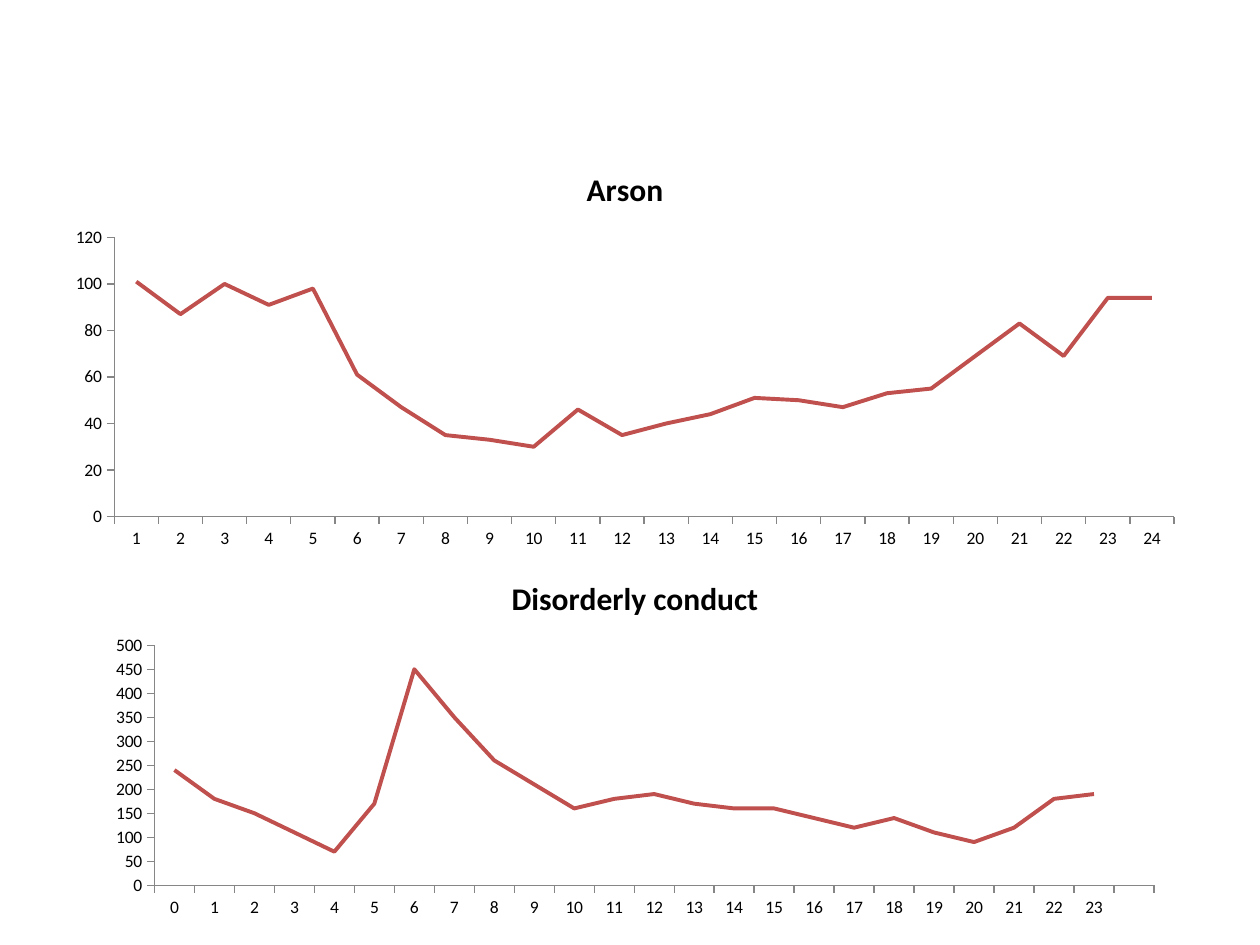
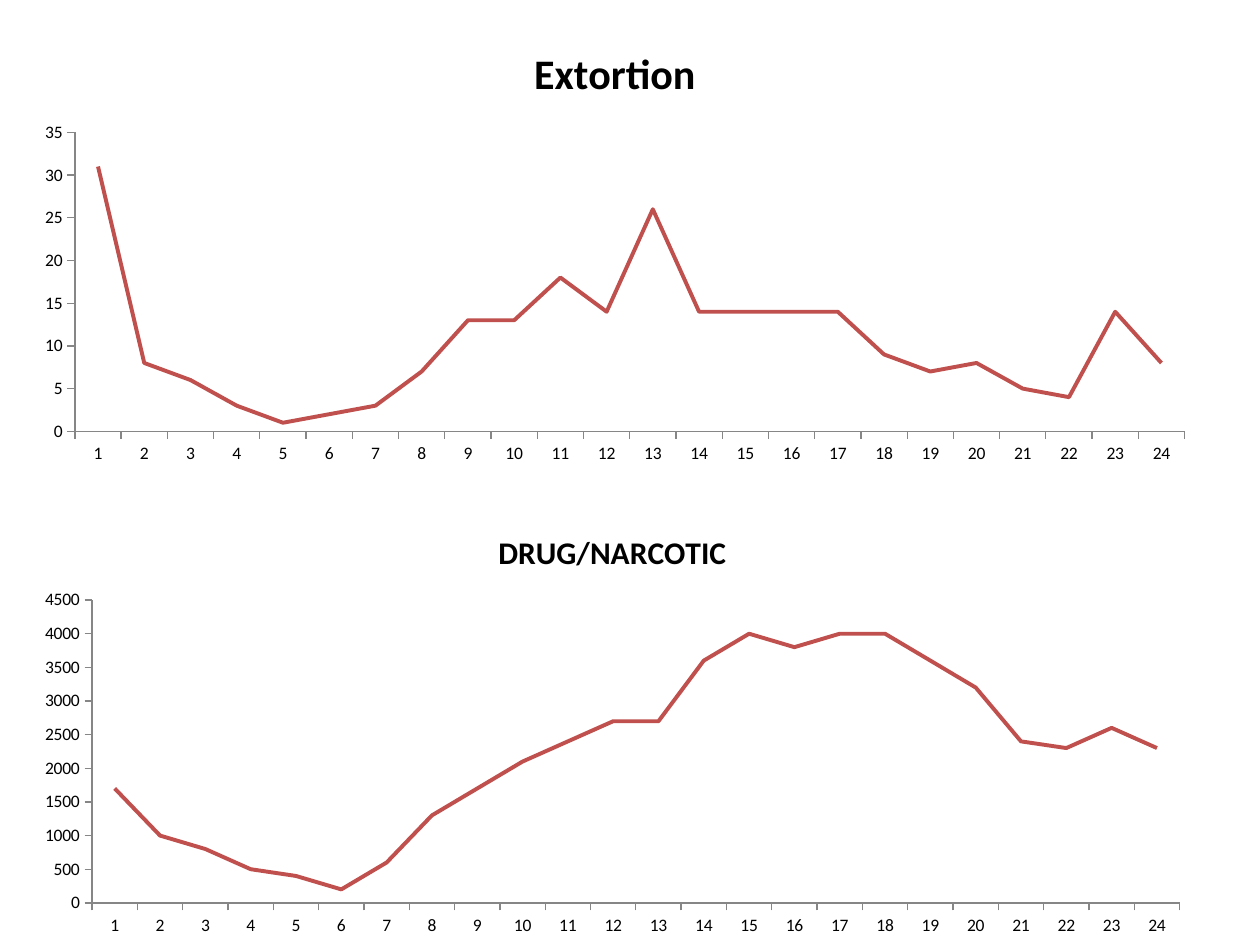
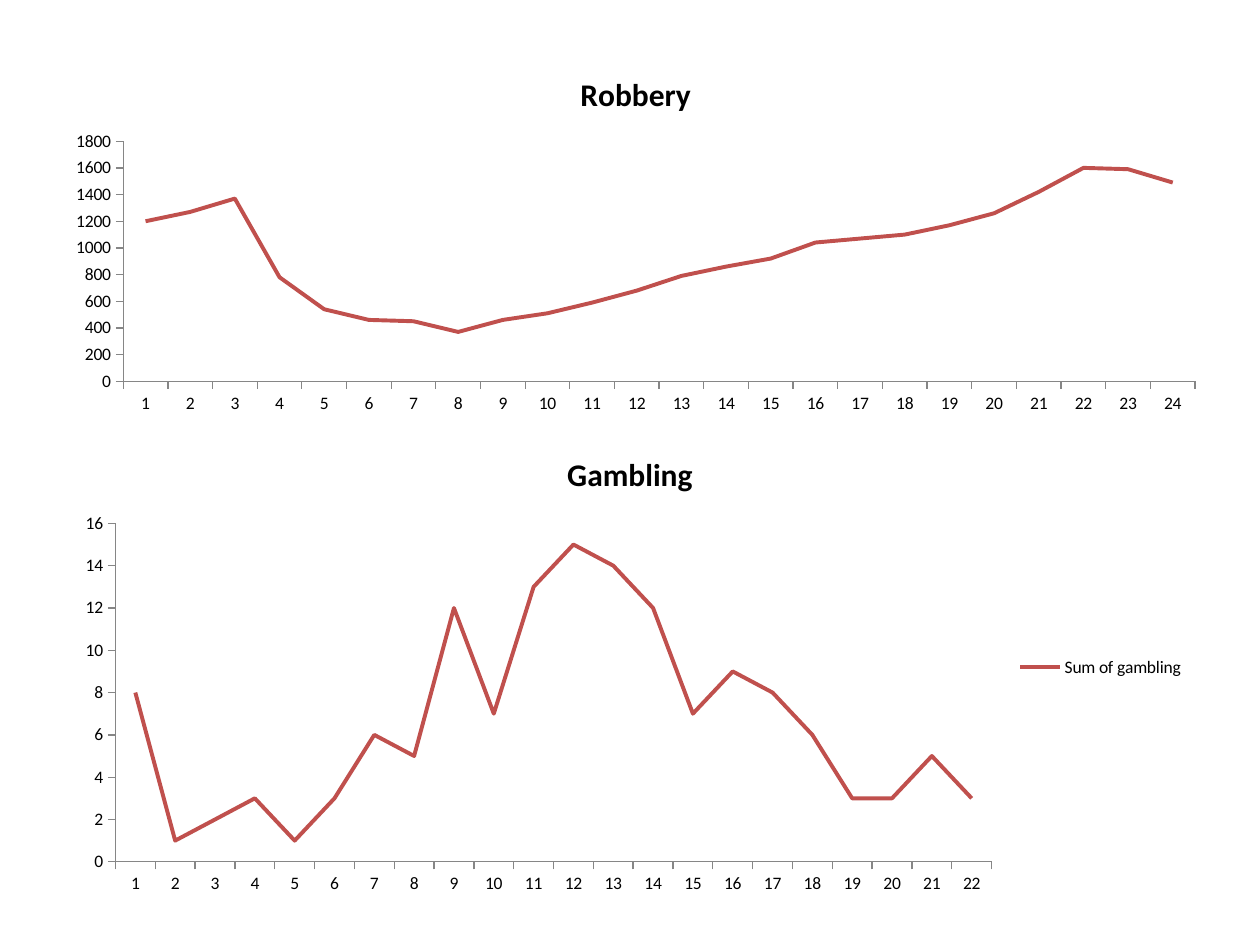
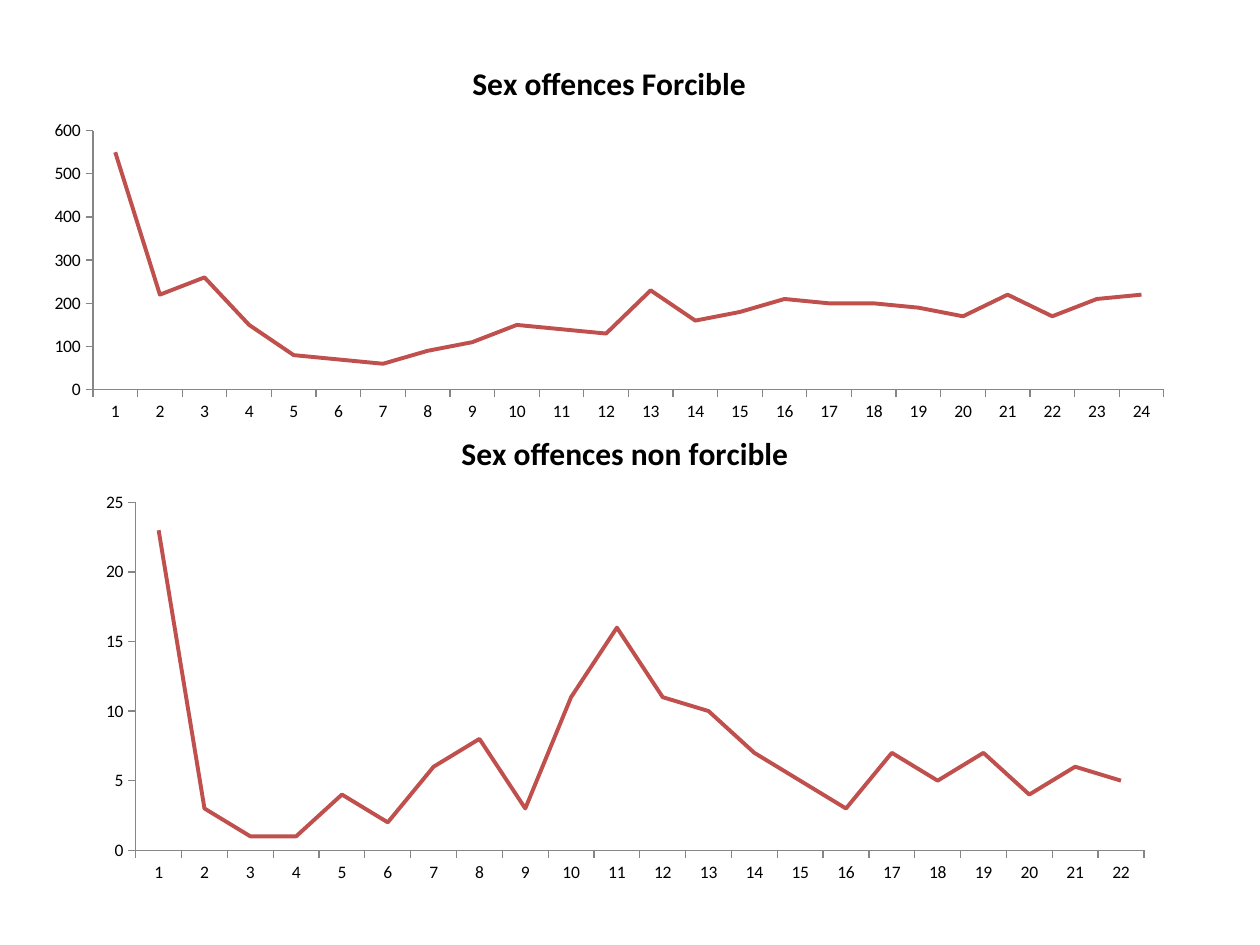
from dataclasses import dataclass

from pptx import Presentation
from pptx.chart.data import CategoryChartData
from pptx.dml.color import RGBColor
from pptx.enum.chart import XL_CHART_TYPE as ChartType
from pptx.enum.chart import XL_LEGEND_POSITION as LegendPosition
from pptx.enum.chart import XL_TICK_MARK as TickMark
from pptx.util import Emu, Pt

EMU_PER_PX = 9144
SLIDE_WIDTH, SLIDE_HEIGHT = 1000, 750

FONT = "Calibri"
BLACK = RGBColor(0x00, 0x00, 0x00)
WHITE = RGBColor(0xFF, 0xFF, 0xFF)
TREND_RED = RGBColor(0xC0, 0x50, 0x4D)
AXIS_GRAY = RGBColor(0x86, 0x86, 0x86)


@dataclass(frozen=True)
class HourlyTrend:
    title: str
    left: int
    top: int
    width: int
    height: int
    scale_max: int
    scale_step: int
    counts: tuple
    first_hour: int = 1
    blank_hours: int = 0
    series_name: str = "Series 1"
    title_size: int = 18
    has_legend: bool = False


OFFENCE_PAGES = (
    (
        HourlyTrend("Arson", 42, 117, 908, 325, 120, 20,
                    (101, 87, 100, 91, 98, 61, 47, 35, 33, 30, 46, 35,
                     40, 44, 51, 50, 47, 53, 55, 69, 83, 69, 94, 94)),
        HourlyTrend("Disorderly conduct", 75, 442, 858, 292, 500, 50,
                    (240, 180, 150, 110, 70, 170, 450, 350, 260, 210, 160, 180,
                     190, 170, 160, 160, 140, 120, 140, 110, 90, 120, 180, 190),
                    first_hour=0, blank_hours=1, series_name="Disorderly conduct"),
    ),
    (
        HourlyTrend("Extortion", 17, 17, 942, 358, 35, 5,
                    (31, 8, 6, 3, 1, 2, 3, 7, 13, 13, 18, 14,
                     26, 14, 14, 14, 14, 9, 7, 8, 5, 4, 14, 8),
                    title_size=24),
        HourlyTrend("DRUG/NARCOTIC", 17, 404, 938, 345, 4500, 500,
                    (1700, 1000, 800, 500, 400, 200, 600, 1300, 1700, 2100, 2400, 2700,
                     2700, 3600, 4000, 3800, 4000, 4000, 3600, 3200, 2400, 2300, 2600, 2300)),
    ),
    (
        HourlyTrend("Robbery", 42, 42, 925, 292, 1800, 200,
                    (1200, 1270, 1370, 780, 540, 460, 450, 370, 460, 510, 590, 680,
                     790, 860, 920, 1040, 1070, 1100, 1170, 1260, 1420, 1600, 1590, 1490)),
        HourlyTrend("Gambling", 50, 342, 900, 375, 16, 2,
                    (8, 1, 2, 3, 1, 3, 6, 5, 12, 7, 13, 15,
                     14, 12, 7, 9, 8, 6, 3, 3, 5, 3),
                    series_name="Sum of gambling", has_legend=True),
    ),
    (
        HourlyTrend("Sex offences Forcible", 25, 33, 917, 308, 600, 100,
                    (550, 220, 260, 150, 80, 70, 60, 90, 110, 150, 140, 130,
                     230, 160, 180, 210, 200, 200, 190, 170, 220, 170, 210, 220)),
        HourlyTrend("Sex offences non forcible", 67, 325, 858, 383, 25, 5,
                    (23, 3, 1, 1, 4, 2, 6, 8, 3, 11, 16, 11,
                     10, 7, 5, 3, 7, 5, 7, 4, 6, 5)),
    ),
)


def px(length: int) -> Emu:
    return Emu(length * EMU_PER_PX)


def hourly_data(trend: HourlyTrend) -> CategoryChartData:
    hours = [str(trend.first_hour + step) for step in range(len(trend.counts))]
    data = CategoryChartData()
    data.categories = hours + [""] * trend.blank_hours
    data.add_series(trend.series_name, trend.counts + (None,) * trend.blank_hours)
    return data


def style_title(chart, trend: HourlyTrend) -> None:
    chart.has_title = True
    heading = chart.chart_title.text_frame.paragraphs[0].add_run()
    heading.text = trend.title
    heading.font.name = FONT
    heading.font.size = Pt(trend.title_size)
    heading.font.bold = True
    heading.font.color.rgb = BLACK


def style_axes(chart, trend: HourlyTrend) -> None:
    for axis in (chart.category_axis, chart.value_axis):
        axis.has_major_gridlines = False
        axis.major_tick_mark = TickMark.OUTSIDE
        axis.minor_tick_mark = TickMark.NONE
        axis.format.line.color.rgb = AXIS_GRAY
        axis.format.line.width = Pt(0.75)
    chart.value_axis.minimum_scale = 0
    chart.value_axis.maximum_scale = trend.scale_max
    chart.value_axis.major_unit = trend.scale_step


def draw_trend(slide, trend: HourlyTrend) -> None:
    chart = slide.shapes.add_chart(
        ChartType.LINE, px(trend.left), px(trend.top),
        px(trend.width), px(trend.height), hourly_data(trend),
    ).chart
    chart.font.name = FONT
    chart.font.size = Pt(10)
    chart.font.color.rgb = BLACK
    style_title(chart, trend)
    style_axes(chart, trend)

    chart.has_legend = trend.has_legend
    if trend.has_legend:
        chart.legend.position = LegendPosition.RIGHT
        chart.legend.include_in_layout = False

    plot = chart.plots[0]
    plot.vary_by_categories = False
    trend_line = plot.series[0]
    trend_line.smooth = False
    trend_line.format.line.color.rgb = TREND_RED
    trend_line.format.line.width = Pt(2.25)


def main() -> None:
    deck = Presentation()
    deck.slide_width = px(SLIDE_WIDTH)
    deck.slide_height = px(SLIDE_HEIGHT)
    blank_layout = deck.slide_layouts[6]
    for offences in OFFENCE_PAGES:
        slide = deck.slides.add_slide(blank_layout)
        slide.background.fill.solid()
        slide.background.fill.fore_color.rgb = WHITE
        for trend in offences:
            draw_trend(slide, trend)
    deck.save("out.pptx")


if __name__ == "__main__":
    main()
